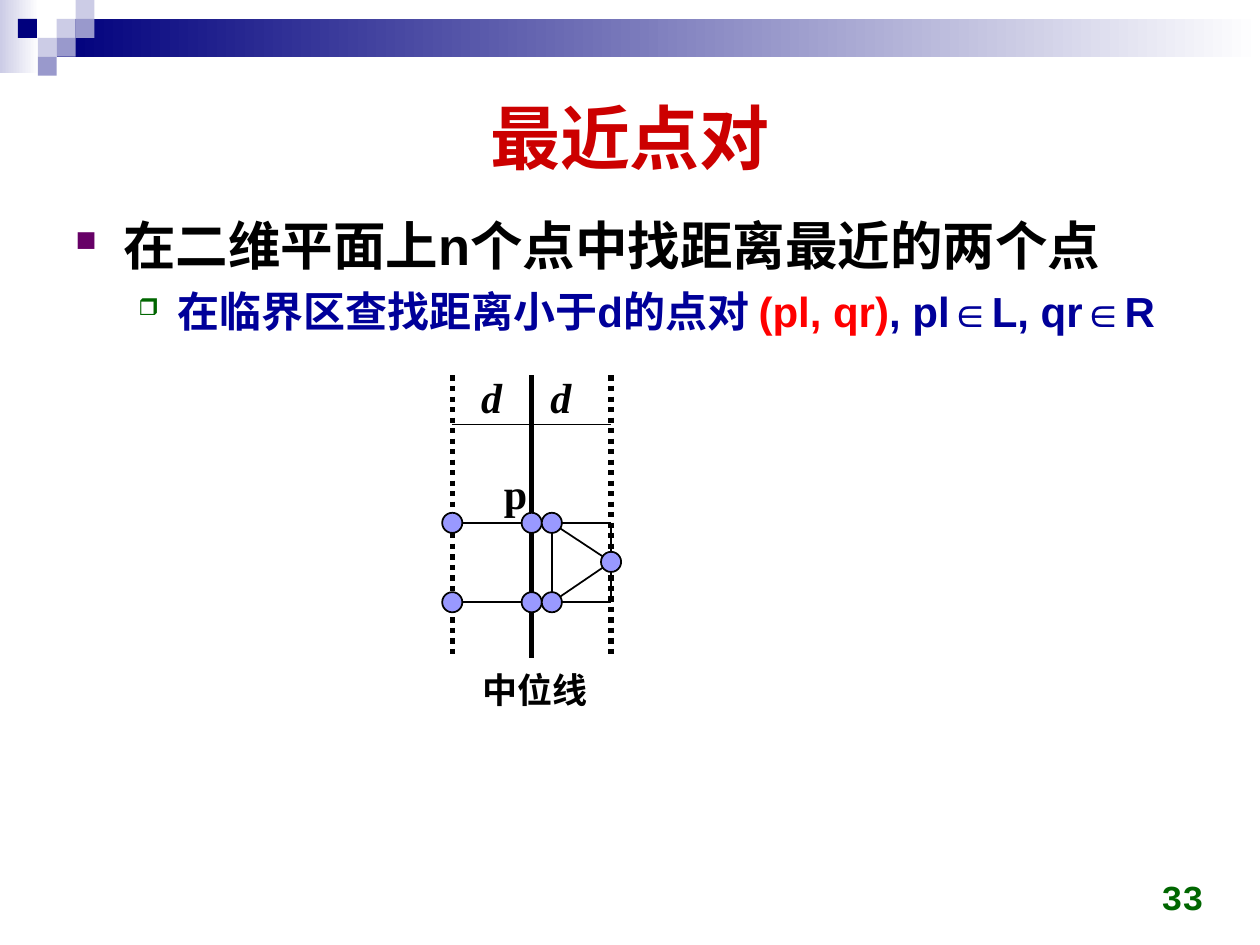
from dataclasses import dataclass

from lxml import etree
from pptx import Presentation
from pptx.dml.color import RGBColor
from pptx.enum import dml, shapes, text
from pptx.oxml import ns
from pptx.util import Inches, Pt


@dataclass(frozen=True)
class Theme:
    sans: str = "Arial"
    mono: str = "Courier New"
    serif: str = "Times New Roman"
    black: str = "000000"
    white: str = "FFFFFF"
    navy: str = "00007D"
    pale: str = "CCCCE6"
    lilac: str = "9999CC"
    point: str = "9999FF"
    title: str = "CC0000"
    number: str = "006600"
    detail: str = "000099"
    accent: str = "FF0000"
    title_size: int = 40
    body_size: int = 30
    detail_size: int = 24
    small_size: int = 20


THEME = Theme()

TITLE = "最近点对"
# runs (text, colour), size, left margin, hanging indent, bullet, bullet colour
BODY = [
    ([("在二维平面上n个点中找距离最近的两个点", THEME.black)],
     THEME.body_size, 0.38, -0.38, "■", "660066"),
    ([("在临界区查找距离小于d的点对 ", THEME.detail), ("(pl, qr)", THEME.accent),
      (", pl∈L, qr∈R", THEME.detail)],
     THEME.detail_size, 0.81, -0.31, "❒", "006600"),
]

BANDS = [((0, 0, 0.31, 0.58), THEME.pale), ((0.45, 0.15, 9.55, 0.3), THEME.navy)]
TILE = 0.15
TILES = [  # column, row, colour
    (3, 1, THEME.pale), (4, 0, THEME.pale), (4, 1, THEME.lilac), (2, 2, THEME.pale),
    (0.95, 1, THEME.navy), (3, 2, THEME.lilac), (2, 3, THEME.lilac),
]

# Strip diagram: a median line with a zone of width d on either side
MEDIAN, D = 4.22, 0.63
LEFT, RIGHT = MEDIAN - D, MEDIAN + D
INNER = 4.38
STRIP_TOP, STRIP_BOTTOM, D_LEVEL = 2.98, 5.22, 3.37
UPPER = 4.15
LOWER = UPPER + D
MIDDLE = 4.46
DOT = 0.16
VERTICALS = [(LEFT, True), (MEDIAN, False), (RIGHT, True)]
EDGES = [
    ((LEFT, D_LEVEL), (RIGHT, D_LEVEL)),
    ((LEFT, UPPER), (RIGHT, UPPER)),
    ((LEFT, LOWER), (RIGHT, LOWER)),
    ((INNER, UPPER), (INNER, LOWER)),
    ((RIGHT, UPPER), (RIGHT, LOWER)),
    ((INNER, UPPER), (RIGHT, MIDDLE)),
    ((RIGHT, MIDDLE), (INNER, LOWER)),
]
POINTS = [(x, y) for y in (UPPER, LOWER) for x in (LEFT, MEDIAN, INNER)] + [(RIGHT, MIDDLE)]
# text, box, font, size, italic
LABELS = [
    ("p", (3.9, 3.66, 0.39, 0.51), THEME.serif, THEME.detail_size, False),
    ("d", (3.72, 2.9, 0.37, 0.51), THEME.serif, THEME.detail_size, True),
    ("d", (4.27, 2.9, 0.37, 0.51), THEME.serif, THEME.detail_size, True),
    ("中位线", (3.73, 5.26, 1.05, 0.44), THEME.sans, THEME.small_size, False),
]


def rgb(colour):
    return RGBColor.from_string(colour)


def inches(box):
    return [Inches(value) for value in box]


def style(paragraph, name, size, colour=None, italic=False):
    font = paragraph.font
    font.name, font.size, font.bold, font.italic = name, Pt(size), True, italic
    if colour:
        font.color.rgb = rgb(colour)


def add_block(slide, kind, box, colour, fade=False, outline=False):
    """Add a preset shape; fade runs its colour out to white on the right."""
    shape = slide.shapes.add_shape(kind, *inches(box))
    shape.shadow.inherit = False
    if fade:
        shape.fill.gradient()
        shape.fill.gradient_angle = 0
        for stop, stop_colour in zip(shape.fill.gradient_stops, (colour, THEME.white)):
            stop.color.rgb = rgb(stop_colour)
    else:
        shape.fill.solid()
        shape.fill.fore_color.rgb = rgb(colour)
    if outline:
        shape.line.color.rgb = rgb(THEME.black)
        shape.line.width = Pt(1)
    else:
        shape.line.fill.background()


def add_line(slide, start, end, width=1, dotted=False):
    line = slide.shapes.add_connector(
        shapes.MSO_CONNECTOR.STRAIGHT, *inches(start + end))
    line.line.color.rgb = rgb(THEME.black)
    line.line.width = Pt(width)
    if dotted:
        line.line.dash_style = dml.MSO_LINE.ROUND_DOT
    etree.SubElement(line.element.spPr, ns.qn("a:effectLst"))


def add_text(slide, content, box, name, size, colour=THEME.black, italic=False):
    frame = slide.shapes.add_textbox(*inches(box)).text_frame
    frame.text = content
    style(frame.paragraphs[0], name, size, colour, italic)
    return frame


def add_bullet(paragraph, margin, indent, character, colour):
    properties = paragraph._p.get_or_add_pPr()
    properties.set("marL", str(Inches(margin)))
    properties.set("indent", str(Inches(indent)))
    bullet_colour = etree.SubElement(properties, ns.qn("a:buClr"))
    etree.SubElement(bullet_colour, ns.qn("a:srgbClr"), val=colour)
    etree.SubElement(properties, ns.qn("a:buSzPct"), val="55000")
    etree.SubElement(properties, ns.qn("a:buChar"), char=character)


def add_body(slide):
    frame = slide.shapes.add_textbox(*inches((0.5, 1.62, 9, 5.2))).text_frame
    frame.word_wrap = True
    for index, (runs, size, margin, indent, character, colour) in enumerate(BODY):
        paragraph = frame.add_paragraph() if index else frame.paragraphs[0]
        paragraph.line_spacing = 1.05
        paragraph.space_before = Pt(size * 0.15)
        add_bullet(paragraph, margin, indent, character, colour)
        style(paragraph, THEME.sans, size)
        for content, run_colour in runs:
            run = paragraph.add_run()
            run.text = content
            run.font.color.rgb = rgb(run_colour)


def add_diagram(slide):
    for x, dotted in VERTICALS:
        add_line(slide, (x, STRIP_TOP), (x, STRIP_BOTTOM), 3, dotted)
    for start, end in EDGES:
        add_line(slide, start, end)
    for label, box, name, size, italic in LABELS:
        frame = add_text(slide, label, box, name, size, italic=italic)
        frame.word_wrap = False
        frame.auto_size = text.MSO_AUTO_SIZE.SHAPE_TO_FIT_TEXT
    for x, y in POINTS:
        add_block(slide, shapes.MSO_SHAPE.OVAL, (x - DOT / 2, y - DOT / 2, DOT, DOT),
                  THEME.point, outline=True)


def main():
    presentation = Presentation()
    presentation.slide_width, presentation.slide_height = Inches(10), Inches(7.5)
    slide = presentation.slides.add_slide(presentation.slide_layouts[5])

    for box, colour in BANDS:
        add_block(slide, shapes.MSO_SHAPE.RECTANGLE, box, colour, fade=True)
    for column, row, colour in TILES:
        add_block(slide, shapes.MSO_SHAPE.RECTANGLE,
                  (column * TILE, row * TILE, TILE, TILE), colour)

    title = slide.shapes.title
    title.left, title.top, title.width, title.height = inches((0.5, 0.5, 9, 1.16))
    title.text_frame.text = TITLE
    title.text_frame.vertical_anchor = text.MSO_ANCHOR.MIDDLE
    heading = title.text_frame.paragraphs[0]
    heading.alignment = text.PP_ALIGN.CENTER
    style(heading, THEME.sans, THEME.title_size, THEME.title)

    add_body(slide)
    number = add_text(slide, "33", (7.32, 6.83, 2.33, 0.5), THEME.mono,
                      THEME.small_size, THEME.number)
    number.word_wrap = True
    number.vertical_anchor = text.MSO_ANCHOR.BOTTOM
    number.paragraphs[0].alignment = text.PP_ALIGN.RIGHT
    add_diagram(slide)
    presentation.save("out.pptx")


if __name__ == "__main__":
    main()
